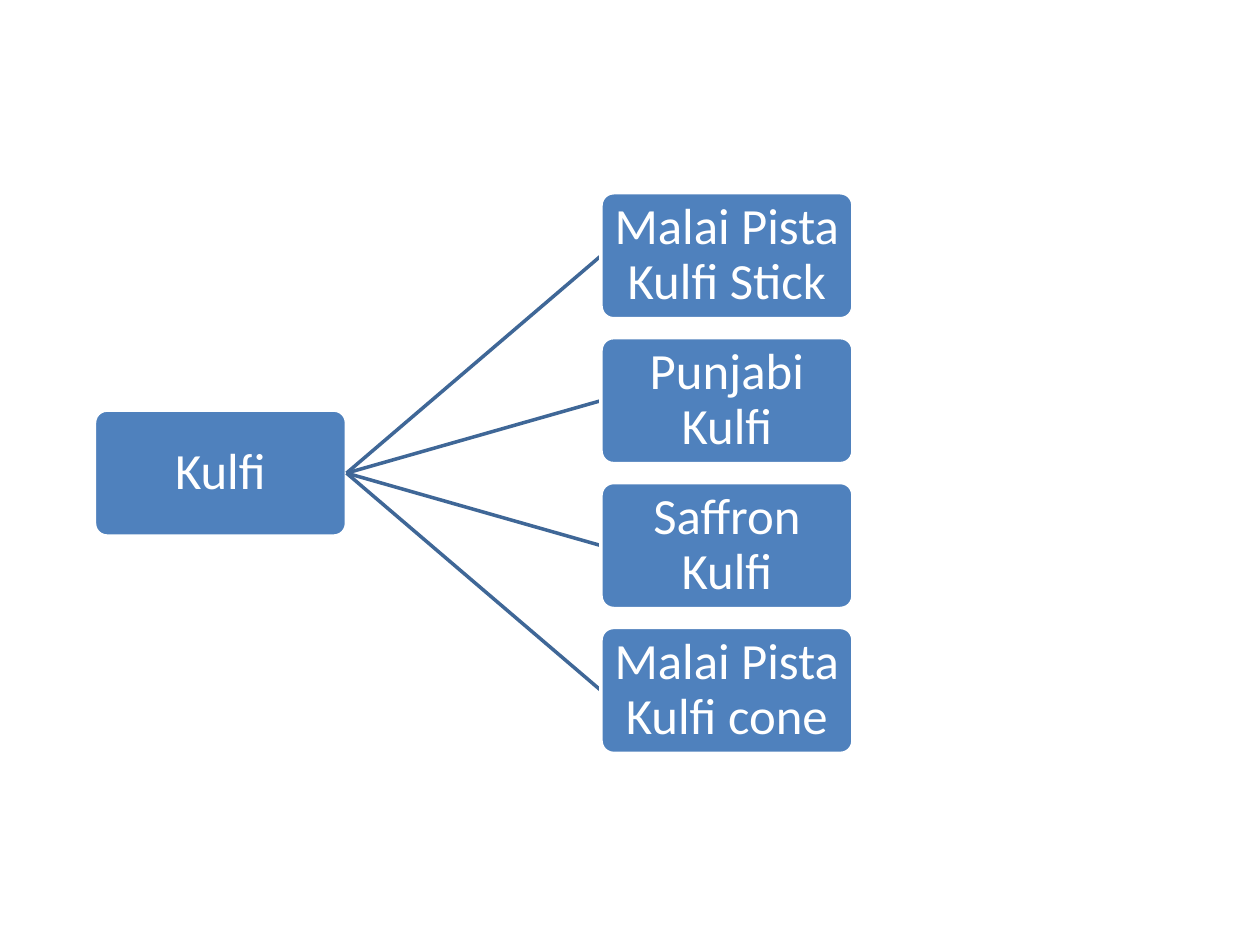
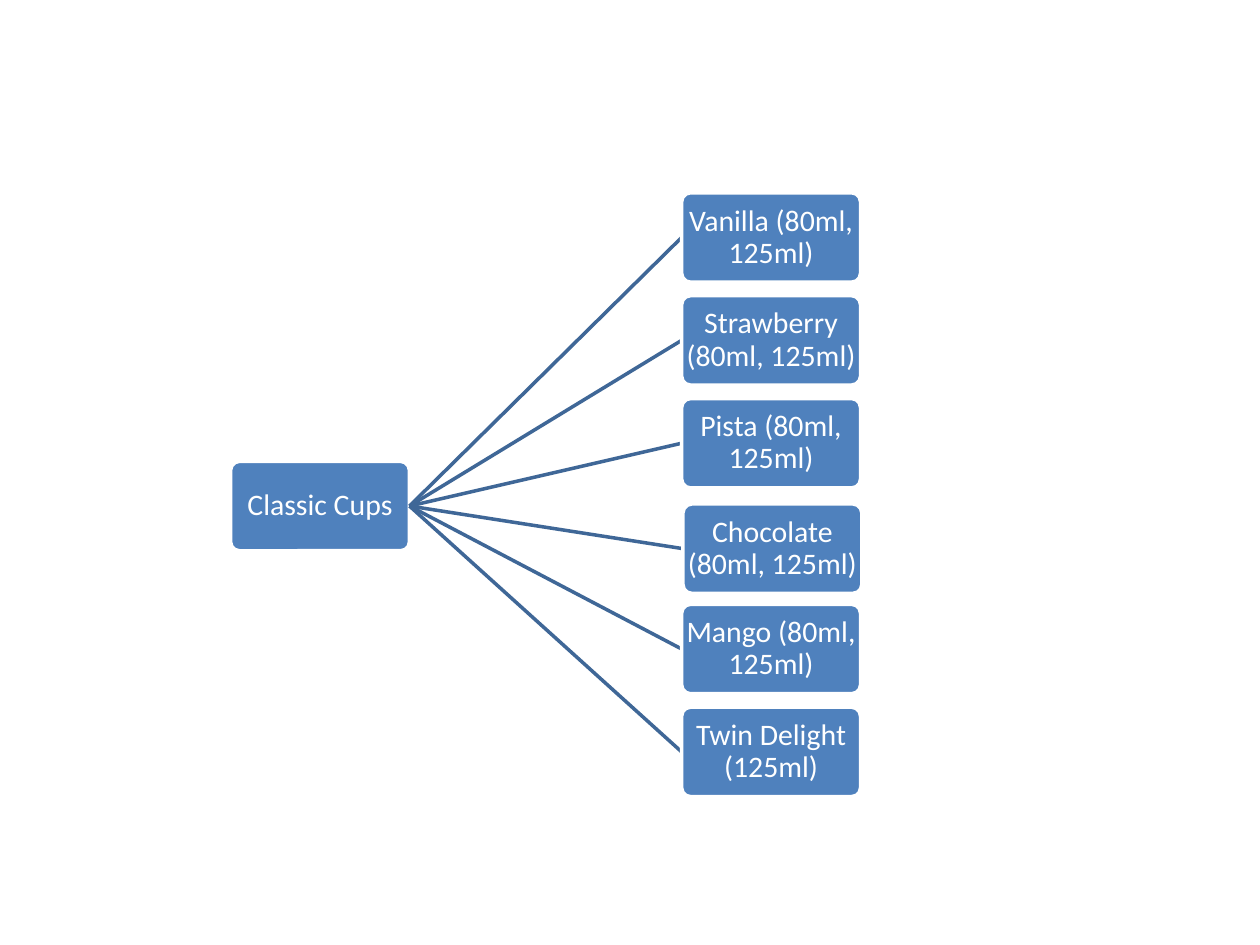
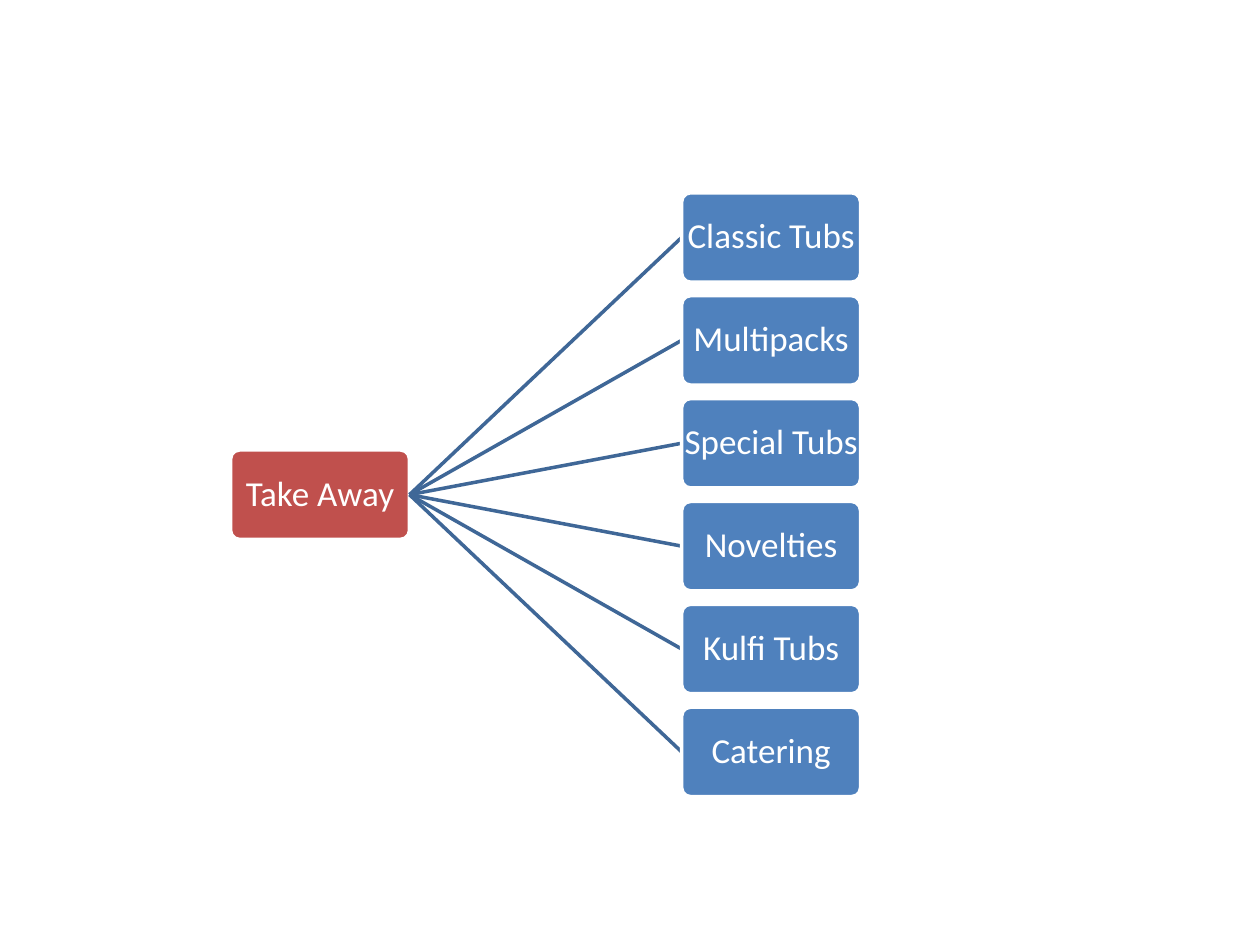
from pptx import Presentation
from pptx.dml.color import RGBColor
from pptx.enum.shapes import MSO_CONNECTOR, MSO_SHAPE
from pptx.enum.text import MSO_ANCHOR, PP_ALIGN
from pptx.oxml.ns import qn
from pptx.util import Inches, Pt
from lxml.etree import SubElement

# Shared style
BLUE = RGBColor(0x4F, 0x81, 0xBD)
RED = RGBColor(0xC0, 0x50, 0x4D)
BRANCH = RGBColor(0x3F, 0x67, 0x97)
WHITE = RGBColor(0xFF, 0xFF, 0xFF)
FONT = "Calibri"
TOP = 1.53          # top of the first product
PITCH = 1.15        # step between products, in box heights
CORNER = 0.1
LINE_WIDTH = 2

# Content: nudges move a box (right, down) from its place in the column
ROOT = "root"
TREES = [
    dict(root="Kulfi", fill=BLUE, size=29, left=0.75, column=4.77, box=(2, 1),
         products=["Malai Pista Kulfi Stick", "Punjabi Kulfi",
                   "Saffron Kulfi", "Malai Pista Kulfi cone"],
         nudges={}),
    dict(root="Classic Cups", fill=BLUE, size=17, left=1.83, column=5.41, box=(1.42, 0.71),
         products=["Vanilla (80ml, 125ml)", "Strawberry (80ml, 125ml)",
                   "Pista (80ml, 125ml)", "Chocolate (80ml, 125ml)",
                   "Mango (80ml, 125ml)", "Twin Delight (125ml)"],
         nudges={ROOT: (0, 0.09), "Chocolate (80ml, 125ml)": (0.01, 0.02)}),
    dict(root="Take Away", fill=RED, size=20, left=1.83, column=5.41, box=(1.42, 0.71),
         products=["Classic Tubs", "Multipacks", "Special Tubs",
                   "Novelties", "Kulfi Tubs", "Catering"],
         nudges={}),
]


def add_box(slide, label, left, top, box, fill, size):
    node = slide.shapes.add_shape(MSO_SHAPE.ROUNDED_RECTANGLE,
                                  *map(Inches, (left, top, *box)))
    node.adjustments[0] = CORNER
    node.shadow.inherit = False
    node.fill.solid()
    node.fill.fore_color.rgb = fill
    node.line.color.rgb = WHITE
    node.line.width = Pt(LINE_WIDTH)
    frame = node.text_frame
    frame.text = label
    frame.word_wrap = True
    frame.vertical_anchor = MSO_ANCHOR.MIDDLE
    frame.margin_left = frame.margin_right = frame.margin_top = frame.margin_bottom = 0
    paragraph = frame.paragraphs[0]
    paragraph.alignment = PP_ALIGN.CENTER
    paragraph.line_spacing = 0.9
    font = paragraph.runs[0].font
    font.name, font.size, font.color.rgb = FONT, Pt(size), WHITE


def add_branch(slide, start, end):
    branch = slide.shapes.add_connector(MSO_CONNECTOR.STRAIGHT,
                                        *map(Inches, (*start, *end)))
    branch.line.color.rgb = BRANCH
    branch.line.width = Pt(LINE_WIDTH)
    SubElement(branch._element.spPr, qn("a:effectLst"))


def add_tree(slide, tree):
    width, height = tree["box"]
    step = PITCH * height
    nudges = tree["nudges"]

    # Root, level with the middle of the column
    middle = TOP + step * (len(tree["products"]) - 1) / 2
    right, down = nudges.get(ROOT, (0, 0))
    root_left, root_top = tree["left"] + right, middle + down
    add_box(slide, tree["root"], root_left, root_top, tree["box"], tree["fill"], tree["size"])
    fork = (root_left + width, root_top + height / 2)

    # Each branch with its product
    for row, product in enumerate(tree["products"]):
        right, down = nudges.get(product, (0, 0))
        left, top = tree["column"] + right, TOP + row * step + down
        add_branch(slide, fork, (left, top + height / 2))
        add_box(slide, product, left, top, tree["box"], BLUE, tree["size"])


def main():
    deck = Presentation()
    deck.slide_width, deck.slide_height = Inches(10), Inches(7.5)
    blank = deck.slide_layouts[6]
    for tree in TREES:
        add_tree(deck.slides.add_slide(blank), tree)
    deck.save("out.pptx")


if __name__ == "__main__":
    main()
